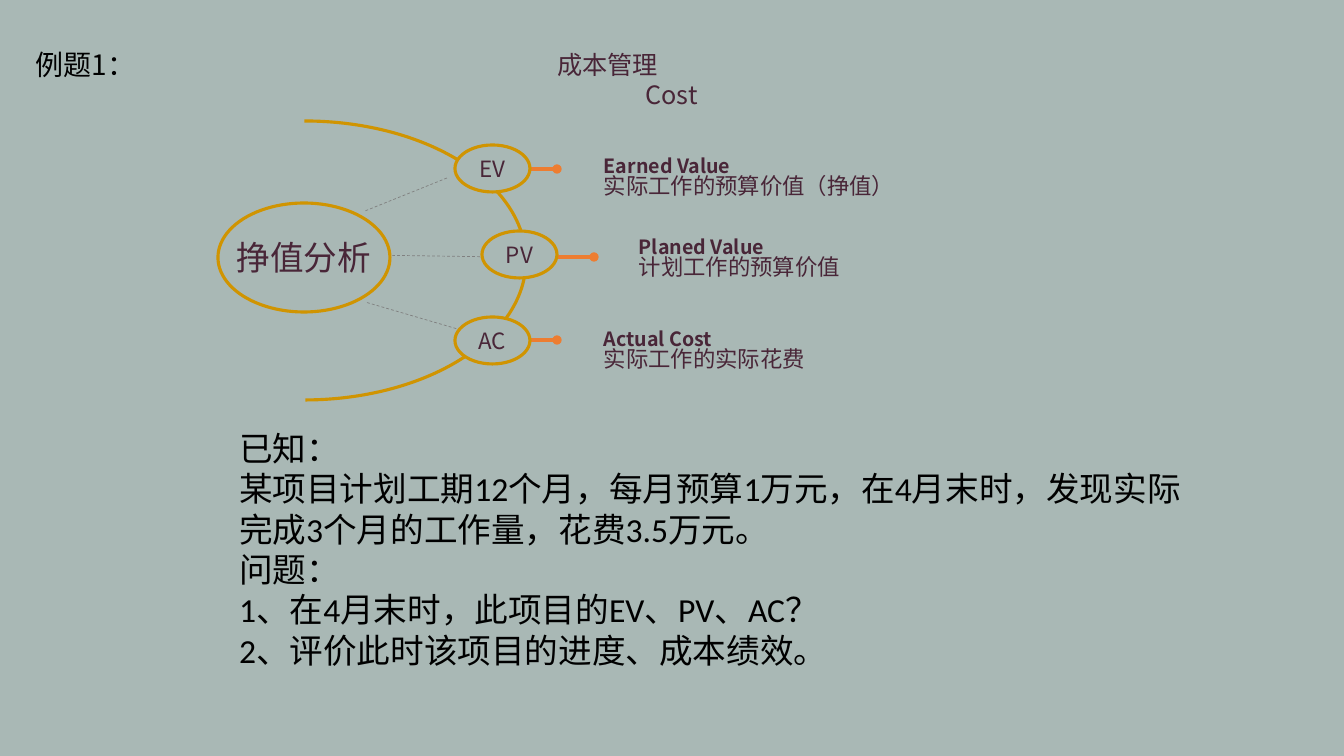
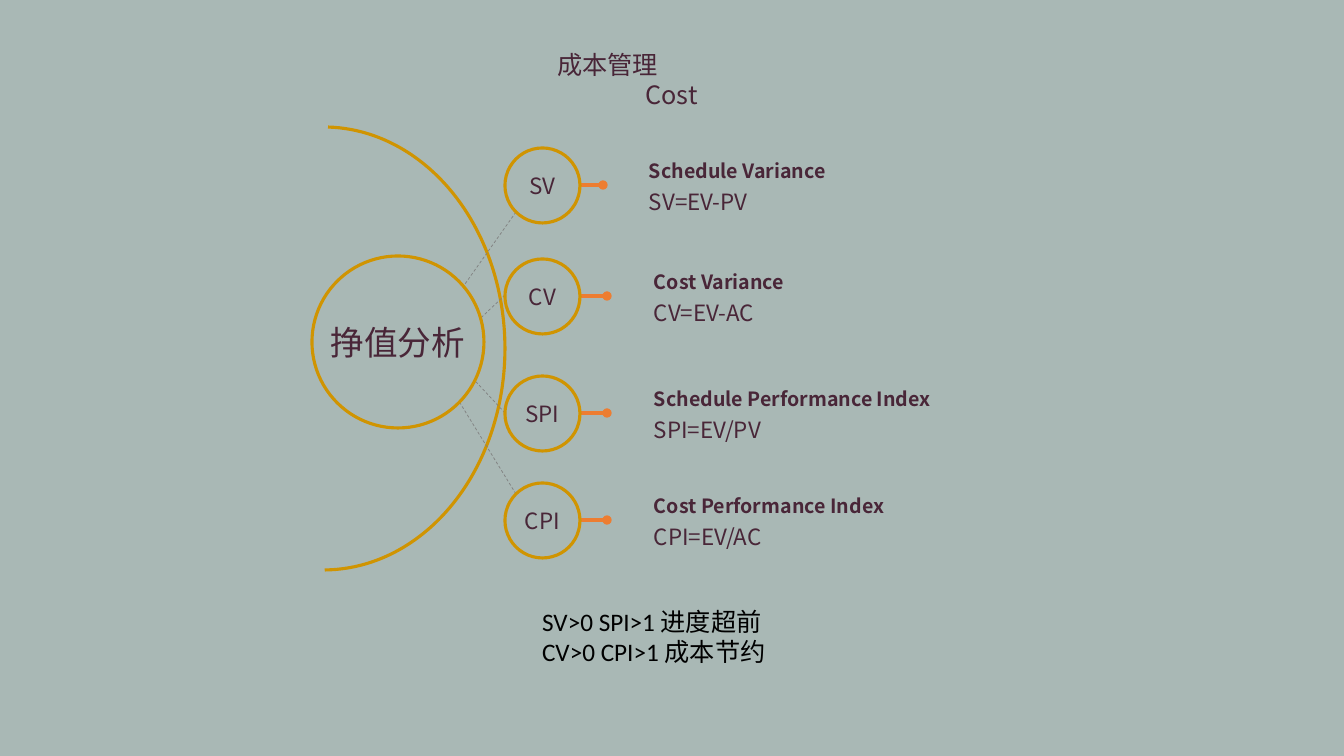
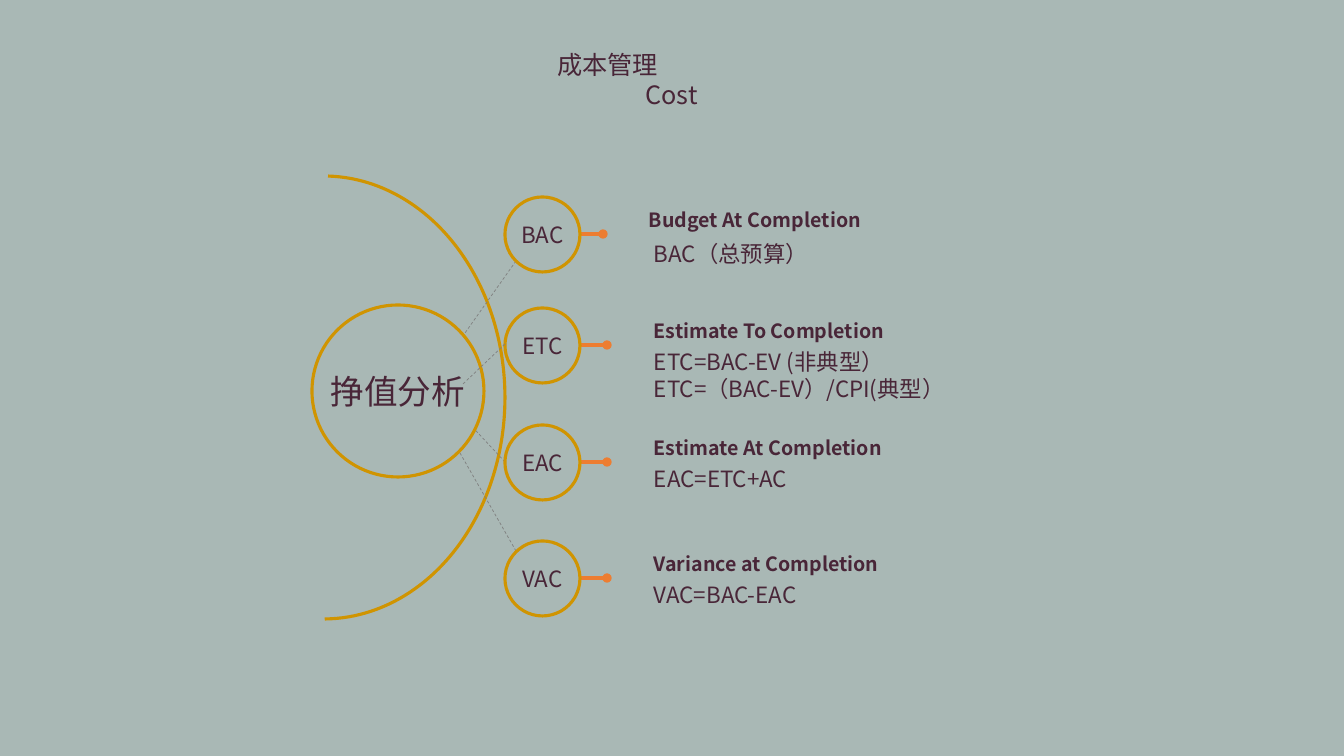
from dataclasses import dataclass

from lxml import etree
from pptx import Presentation
from pptx.dml.color import RGBColor
from pptx.enum.dml import MSO_LINE
from pptx.enum.shapes import MSO_CONNECTOR, MSO_SHAPE
from pptx.enum.text import MSO_ANCHOR, MSO_AUTO_SIZE, PP_ALIGN
from pptx.oxml.ns import qn
from pptx.util import Pt

LEFT, MID, JUST = PP_ALIGN.LEFT, PP_ALIGN.CENTER, PP_ALIGN.JUSTIFY
TOP, CENTER = MSO_ANCHOR.TOP, MSO_ANCHOR.MIDDLE
FIXED = MSO_AUTO_SIZE.NONE
STRAIGHT = MSO_CONNECTOR.STRAIGHT
ARC, OVAL = MSO_SHAPE.ARC, MSO_SHAPE.OVAL
DASH = MSO_LINE.DASH
PX = 12192000 / 1344


@dataclass(frozen=True)
class Theme:
    back: str = "A9B8B5"
    ink: str = "492638"
    black: str = "000000"
    gold: str = "D09401"
    pin: str = "ED7D31"
    gray: str = "808080"
    sans: str = "Noto Sans CJK SC"
    body: str = "Calibri"
    title: int = 18
    tag: int = 20
    hub: int = 24
    head: int = 14
    text: int = 16
    lead: float = 1.2
    bold: float = 2.25
    thin: float = 0.5


THEME = Theme()
TITLE = ["成本管理", "Cost"]
TITLE_BOX = (547, 44, 249, 72)
HUB = "挣值分析"

WIDE = {"arc": (83, 121, 443, 279), "turn": 161.97,
        "hub": (218, 203, 172, 109), "node": (75, 47)}
ROUND = {"arc": (142, 127, 363, 443), "turn": 162.71,
         "hub": (312, 256, 172, 172), "node": (75, 75)}
SPOKES = [(516, 212, 465, 284), (505, 413, 453, 357)]
CROSS = (505, 295, 463, 335)

SLIDES = [
    {
        "ring": WIDE, "drop": 0,
        "tag": ("例题1：", (26, 43, 249, 44)),
        "note": ([
            "已知：",
            "某项目计划工期12个月，每月预算1万元，在4月末时，发现实际完成3个月的工作量，花费3.5万元。",
            "问题：",
            "1、在4月末时，此项目的EV、PV、AC？",
            "2、评价此时该项目的进度、成本绩效。",
        ], (229, 423, 975, 254), 24),
        "spokes": [(447, 178, 365, 211), (500, 257, 365, 255), (461, 330, 365, 302)],
        "rows": [
            ("EV", (455, 145), (557, 169), "Earned Value", (594, 149),
             ["实际工作的预算价值（挣值）"], (594, 167)),
            ("PV", (482, 231), (594, 257), "Planed Value", (629, 230),
             ["计划工作的预算价值"], (629, 248)),
            ("AC", (455, 317), (557, 340), "Actual Cost", (594, 322),
             ["实际工作的实际花费"], (594, 340)),
        ],
    },
    {
        "ring": ROUND, "drop": 0,
        "note": (["SV>0 SPI>1 进度超前", "CV>0 CPI>1 成本节约"],
                 (532, 601, 280, 72), 18),
        "spokes": SPOKES + [CROSS, (516, 494, 460, 403)],
        "rows": [
            ("SV", (505, 148), (603, 185), "Schedule Variance", (639, 154),
             ["SV=EV-PV"], (639, 183)),
            ("CV", (505, 259), (607, 296), "Cost Variance", (644, 265),
             ["CV=EV-AC"], (644, 294)),
            ("SPI", (505, 376), (607, 413), "Schedule Performance Index", (644, 382),
             ["SPI=EV/PV"], (644, 411)),
            ("CPI", (505, 483), (607, 520), "Cost Performance Index", (644, 489),
             ["CPI=EV/AC"], (644, 518)),
        ],
    },
    {
        "ring": ROUND, "drop": 49,
        "spokes": SPOKES + [(516, 502, 460, 404)],
        "front": [CROSS],
        "rows": [
            ("BAC", (505, 148), (603, 185), "Budget At Completion", (639, 154),
             ["BAC（总预算）"], (644, 186)),
            ("ETC", (505, 259), (607, 296), "Estimate To Completion", (644, 265),
             ["ETC=BAC-EV (非典型）", "ETC=（BAC-EV）/CPI(典型）"], (644, 294)),
            ("EAC", (505, 376), (607, 413), "Estimate At Completion", (644, 382),
             ["EAC=ETC+AC"], (644, 411)),
            ("VAC", (505, 492), (607, 529), "Variance at Completion", (644, 498),
             ["VAC=BAC-EAC"], (644, 527)),
        ],
    },
]


def emu(*sides):
    return [round(side * PX) for side in sides]


def rgb(code):
    return RGBColor.from_string(code)


def place(shape, box):
    shape.left, shape.top, shape.width, shape.height = emu(*box)


def write(frame, lines, size, tint=THEME.ink, face=THEME.sans, bold=False, aligns=(LEFT,)):
    for i, line in enumerate(lines):
        para = frame.paragraphs[0] if i == 0 else frame.add_paragraph()
        props = para._p.get_or_add_pPr()
        props.set("marL", "0")
        props.set("indent", "0")
        etree.SubElement(props, qn("a:buNone"))
        para.alignment = aligns[min(i, len(aligns) - 1)]
        para.line_spacing = Pt(size * THEME.lead)
        para.space_before = Pt(0)
        run = para.add_run()
        run.text = line
        font = run.font
        font.size, font.bold, font.name = Pt(size), bold, face
        font.color.rgb = rgb(tint)
        etree.SubElement(run._r.get_or_add_rPr(), qn("a:ea"), typeface=THEME.sans)


def label(slide, lines, box, size, **style):
    frame = slide.shapes.add_textbox(*emu(*box)).text_frame
    frame.word_wrap = True
    write(frame, lines, size, **style)


def outline(slide, kind, box):
    shape = slide.shapes.add_shape(kind, *emu(*box))
    shape.shadow.inherit = False
    shape.line.color.rgb = rgb(THEME.gold)
    shape.line.width = Pt(THEME.bold)
    return shape


def bubble(slide, text, box, size):
    shape = outline(slide, OVAL, box)
    shape.fill.solid()
    shape.fill.fore_color.rgb = rgb(THEME.back)
    frame = shape.text_frame
    frame.word_wrap = False
    frame.vertical_anchor = CENTER
    write(frame, [text], size, aligns=(MID,))


def link(slide, ends, tint, width, dash=None, dots=False):
    line = slide.shapes.add_connector(STRAIGHT, *emu(*ends))
    line.line.color.rgb = rgb(tint)
    line.line.width = Pt(width)
    if dash:
        line.line.dash_style = dash
    props = line.element.spPr
    if dots:
        for end in ("a:headEnd", "a:tailEnd"):
            etree.SubElement(props.find(qn("a:ln")), qn(end), type="oval")
    etree.SubElement(props, qn("a:effectLst"))


def spokes(slide, ends, drop):
    for x1, y1, x2, y2 in ends:
        link(slide, (x1, y1 + drop, x2, y2 + drop), THEME.gray, THEME.thin, DASH)


def draw(slide, data):
    ring, drop = data["ring"], data["drop"]
    wide, high = ring["node"]

    def down(box):
        return (box[0], box[1] + drop, *box[2:])

    for _, (x, _), (end, y), *_ in data["rows"]:
        link(slide, (x + wide / 2, y + drop, end, y + drop),
             THEME.pin, THEME.bold, dots=True)
    arc = outline(slide, ARC, down(ring["arc"]))
    arc.fill.background()
    arc.adjustments[0] = ring["turn"]
    arc.adjustments[1] = 53.8
    spokes(slide, data["spokes"], drop)
    for name, spot, _, head, above, lines, below in data["rows"]:
        label(slide, [head], down((*above, 386, 34)), THEME.head, bold=True)
        label(slide, lines, down((*below, 550, 10 + 27 * len(lines))), THEME.text)
        bubble(slide, name, down((*spot, wide, high)), THEME.text)
    bubble(slide, HUB, down(ring["hub"]), THEME.hub)
    spokes(slide, data.get("front", []), drop)


def main():
    deck = Presentation()
    deck.slide_width, deck.slide_height = emu(1344, 756)
    master = deck.slide_master
    master.background.fill.solid()
    master.background.fill.fore_color.rgb = rgb(THEME.back)
    banner = master.placeholders[0]
    place(banner, TITLE_BOX)
    banner.text_frame.vertical_anchor = TOP
    banner.text_frame.auto_size = FIXED
    for data in SLIDES:
        slide = deck.slides.add_slide(deck.slide_layouts[1 if "note" in data else 5])
        write(slide.shapes.title.text_frame, TITLE, THEME.title, aligns=(JUST, MID))
        if "tag" in data:
            text, box = data["tag"]
            label(slide, [text], box, THEME.tag, tint=THEME.black)
        if "note" in data:
            lines, box, size = data["note"]
            note = slide.placeholders[1]
            place(note, box)
            note.text_frame.auto_size = FIXED
            write(note.text_frame, lines, size, THEME.black, THEME.body)
        draw(slide, data)
    deck.save("out.pptx")


if __name__ == "__main__":
    main()
